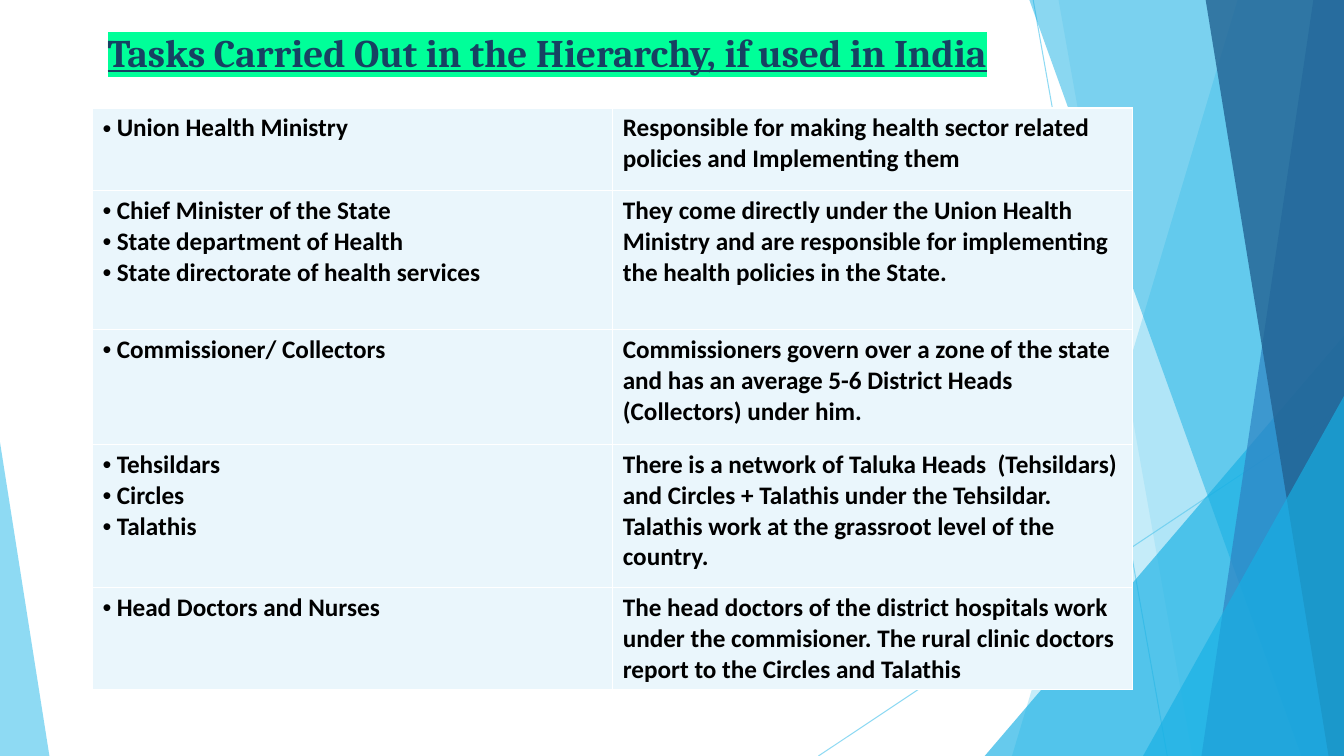
from dataclasses import dataclass

from lxml import etree
from pptx import Presentation
from pptx.dml.color import RGBColor
from pptx.enum.shapes import MSO_CONNECTOR, MSO_SHAPE
from pptx.enum.text import MSO_ANCHOR, PP_ALIGN
from pptx.oxml.ns import qn
from pptx.util import Pt

STRAIGHT = MSO_CONNECTOR.STRAIGHT
TRIANGLE = MSO_SHAPE.ISOSCELES_TRIANGLE
TOP = MSO_ANCHOR.TOP
LEFT = PP_ALIGN.LEFT

SLIDE_W, SLIDE_H = 960, 540


@dataclass(frozen=True)
class Theme:
    sky: str = "5FCBEF"
    cyan: str = "17B0E4"
    blue: str = "2E83C3"
    navy: str = "226292"
    title: str = "174162"
    highlight: str = "00FF99"
    cell: str = "EAF6FC"
    border: str = "FFFFFF"
    body: str = "000000"
    title_font: str = "Cambria"
    body_font: str = "Calibri"
    title_size: float = 27.9
    body_size: float = 18


def set_alpha(fill_parent, percent):
    """Make the solid fill directly under the element translucent."""
    color = fill_parent.find(qn("a:solidFill"))[0]
    etree.SubElement(color, qn("a:alpha"), val=str(percent * 1000))


def write(paragraph, text, *, font, size, color, bold=True, underline=False,
          highlight=None, bullet=None, hang=10):
    """Write one formatted run, with an optional highlight and bullet."""
    paragraph.alignment = LEFT
    run = paragraph.add_run()
    run.text = text
    run.font.size, run.font.bold = Pt(size), bold
    if underline:
        run.font.underline = True
    run.font.color.rgb = RGBColor.from_string(color)
    run.font.name = font
    if highlight:
        mark = etree.Element(qn("a:highlight"))
        etree.SubElement(mark, qn("a:srgbClr"), val=highlight)
        run.font._element.find(qn("a:solidFill")).addnext(mark)
    if bullet:
        properties = paragraph._p.get_or_add_pPr()
        properties.set("marL", str(Pt(hang)))
        properties.set("indent", str(-Pt(hang)))
        etree.SubElement(properties, qn("a:buFont"), typeface="Arial")
        etree.SubElement(properties, qn("a:buChar"), char=bullet)


class SlideBuilder:
    def __init__(self, slide, theme):
        self.slide = slide
        self.shapes = slide.shapes
        self.theme = theme

    def ray(self, x1, y1, x2, y2, color, alpha):
        ray = self.shapes.add_connector(STRAIGHT, Pt(x1), Pt(y1), Pt(x2), Pt(y2))
        ray.line.width = Pt(0.75)
        ray.line.color.rgb = RGBColor.from_string(color)
        set_alpha(ray.line._get_or_add_ln(), alpha)
        etree.SubElement(ray._element.spPr, qn("a:effectLst"))

    def paint(self, shape, color, alpha):
        shape.shadow.inherit = False
        shape.fill.solid()
        shape.fill.fore_color.rgb = RGBColor.from_string(color)
        set_alpha(shape._element.spPr, alpha)
        shape.line.fill.background()

    def facet(self, top_x, bottom_x, color, alpha):
        """Fill from a slanted left edge to the right side of the slide."""
        outline = self.shapes.build_freeform(Pt(top_x), Pt(-0.6))
        outline.add_line_segments(
            [(Pt(SLIDE_W), Pt(-0.6)), (Pt(SLIDE_W), Pt(SLIDE_H)),
             (Pt(bottom_x), Pt(SLIDE_H))], close=True)
        self.paint(outline.convert_to_shape(), color, alpha)

    def corner(self, x, width, height, apex, color, alpha):
        """Stand a right triangle on the bottom of the slide."""
        corner = self.shapes.add_shape(
            TRIANGLE, Pt(x), Pt(SLIDE_H - height), Pt(width), Pt(height))
        corner.adjustments[0] = apex
        self.paint(corner, color, alpha)

    def title(self, text, x, y, width, height):
        frame = self.shapes.add_textbox(
            Pt(x), Pt(y), Pt(width), Pt(height)).text_frame
        frame.word_wrap = True
        frame.vertical_anchor = TOP
        frame.margin_top = Pt(6.5)
        theme = self.theme
        write(frame.paragraphs[0], text, font=theme.title_font,
              size=theme.title_size, color=theme.title, underline=True,
              highlight=theme.highlight)

    def cell(self, cell, lines, bullet=None):
        theme = self.theme
        properties = cell._tc.get_or_add_tcPr()
        for side in ("a:lnL", "a:lnR", "a:lnT", "a:lnB"):
            border = etree.SubElement(properties, qn(side), w=str(Pt(1)))
            fill = etree.SubElement(border, qn("a:solidFill"))
            etree.SubElement(fill, qn("a:srgbClr"), val=theme.border)
        cell.fill.solid()
        cell.fill.fore_color.rgb = RGBColor.from_string(theme.cell)
        frame = cell.text_frame
        for index, line in enumerate(lines):
            paragraph = frame.add_paragraph() if index else frame.paragraphs[0]
            write(paragraph, line, font=theme.body_font, size=theme.body_size,
                  color=theme.body, bullet=bullet)

    def task_table(self, tasks, x, y, width):
        heights = [height for height, _, _ in tasks]
        table = self.shapes.add_table(len(tasks), 2, Pt(x), Pt(y), Pt(width),
                                      Pt(sum(heights))).table
        table.first_row = table.horz_banding = False
        for row, (height, offices, duty) in enumerate(tasks):
            table.rows[row].height = Pt(height)
            self.cell(table.cell(row, 0), offices, bullet="•")
            self.cell(table.cell(row, 1), [duty])


# Row height, offices, duty
TASKS = [
    (59, ["Union Health Ministry"],
     "Responsible for making health sector related policies and "
     "Implementing them"),
    (99.4, ["Chief Minister of the State", "State department of Health",
            "State directorate of health services"],
     "They come directly under the Union Health Ministry and are responsible "
     "for implementing the health policies in the State."),
    (82.1, ["Commissioner/ Collectors"],
     "Commissioners govern over a zone of the state and has an average "
     "5-6 District Heads (Collectors) under him."),
    (102.2, ["Tehsildars", "Circles", "Talathis"],
     "There is a network of Taluka Heads  (Tehsildars) and Circles + Talathis "
     "under the Tehsildar. Talathis work at the grassroot level of the country."),
    (73, ["Head Doctors and Nurses"],
     "The head doctors of the district hospitals work under the commisioner. "
     "The rural clinic doctors report to the Circles and Talathis"),
]


def main():
    deck = Presentation()
    deck.slide_width, deck.slide_height = Pt(SLIDE_W), Pt(SLIDE_H)
    theme = Theme()
    page = SlideBuilder(deck.slides.add_slide(deck.slide_layouts[6]), theme)

    # Faceted backdrop, back to front
    page.ray(738, 0, 833.8, SLIDE_H, theme.sky, 70)
    page.ray(SLIDE_W, 290, 584.6, SLIDE_H, theme.sky, 70)
    page.facet(884.2, 722.9, theme.sky, 36)
    page.facet(756, 851.8, theme.sky, 20)
    page.corner(703.4, 256.6, 300.2, 1, theme.cyan, 66)
    page.facet(735.1, 929.5, theme.cyan, 50)
    page.facet(938.2, 858.2, theme.blue, 70)
    page.facet(861.1, 949, theme.navy, 80)
    page.corner(816.5, 143.5, 257, 1, theme.cyan, 66)
    page.corner(0, 35.3, 224, 0, theme.sky, 70)

    # Heading
    page.title("Tasks Carried Out in the Hierarchy, if used in India",
               69.8, 13.7, 786.2, 61.9)

    # Offices and their duties
    page.task_table(TASKS, 66.2, 77.1, 743)

    deck.save("out.pptx")


if __name__ == "__main__":
    main()
